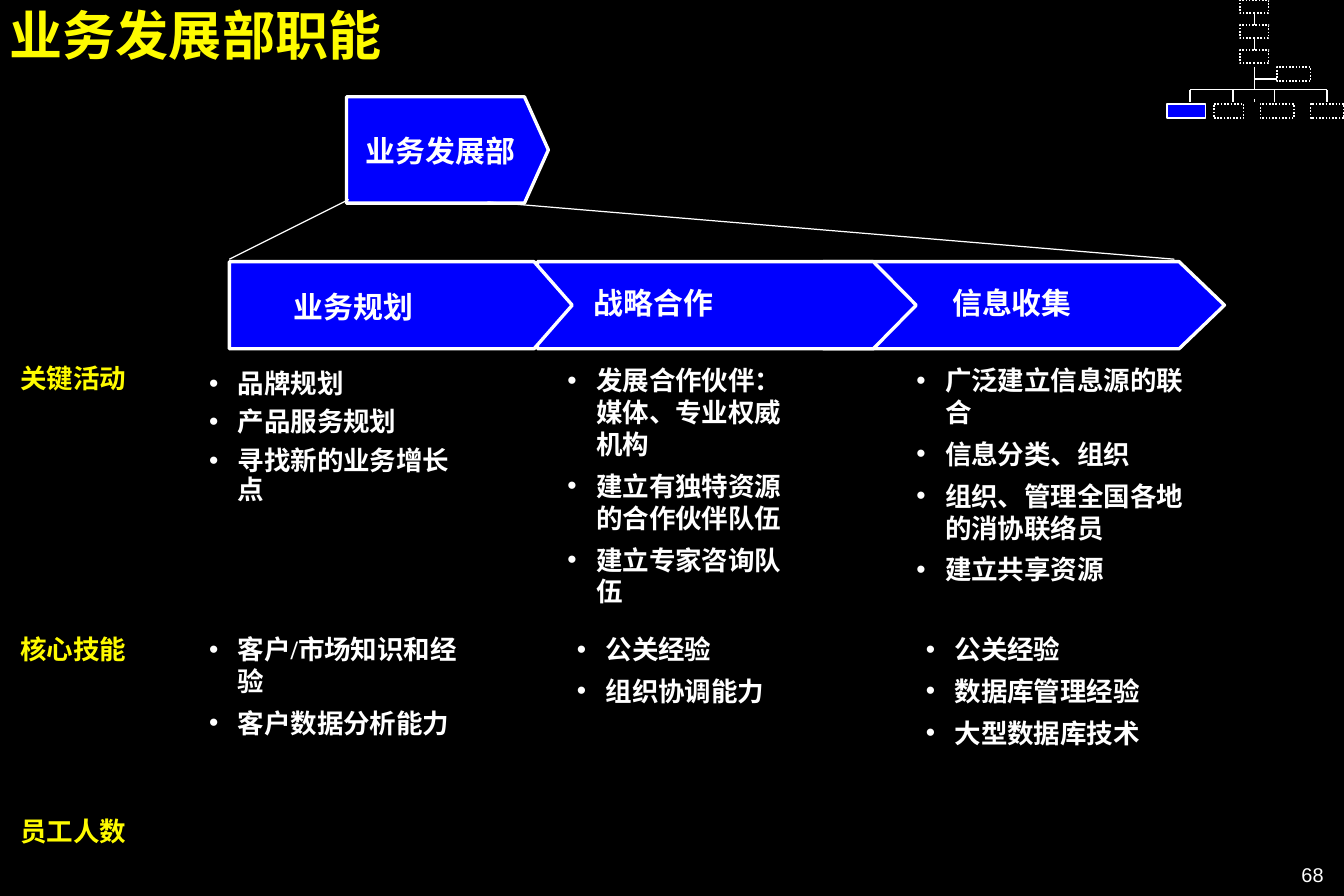
from collections import namedtuple

from lxml import etree
from pptx import Presentation
from pptx.dml.color import RGBColor
from pptx.enum.dml import MSO_LINE
from pptx.enum.shapes import MSO_CONNECTOR, MSO_SHAPE
from pptx.enum.text import MSO_ANCHOR, MSO_AUTO_SIZE, PP_ALIGN
from pptx.oxml.ns import qn
from pptx.util import Inches, Pt

Box = namedtuple("Box", "left top width height")

COLORS = {"black": "000000", "white": "FFFFFF", "yellow": "FEFB00", "blue": "0000FE"}
SERIF, SANS, HAN = "Times New Roman", "Arial", "Noto Sans CJK SC"
TOP, MIDDLE = MSO_ANCHOR.TOP, MSO_ANCHOR.MIDDLE
LEFT, RIGHT = PP_ALIGN.LEFT, PP_ALIGN.RIGHT
STRAIGHT, RECTANGLE, DOTTED = MSO_CONNECTOR.STRAIGHT, MSO_SHAPE.RECTANGLE, MSO_LINE.ROUND_DOT
BULLET_INDENT = Inches(0.24)

# Column: left edge, width, line spacing, bullet texts
ROWS = [
    ("关键活动", 0, [
        (1.75, 0.07, 2.17, 0.9, ["品牌规划", "产品服务规划", "寻找新的业务增长点"]),
        (4.75, 0.02, 2, 1, ["发展合作伙伴：媒体、专业权威机构",
                            "建立有独特资源的合作伙伴队伍", "建立专家咨询队伍"]),
        (7.67, 0.02, 2.42, 1, ["广泛建立信息源的联合", "信息分类、组织",
                               "组织、管理全国各地的消协联络员", "建立共享资源"]),
    ]),
    ("核心技能", 2.27, [
        (1.75, 0, 2.17, 1, ["客户/市场知识和经验", "客户数据分析能力"]),
        (4.83, 0, 2.17, 1, ["公关经验", "组织协调能力"]),
        (7.75, 0, 1.81, 1, ["公关经验", "数据库管理经验", "大型数据库技术"]),
    ]),
    ("员工人数", 3.79, []),
]

# Stage: name, left, shoulder, tip, label left, label drop
STAGES = [
    ("业务规划", 0, 2.55, 2.87, 0.54, 0.23),
    ("战略合作", 2.58, 5.39, 5.75, 3.05, 0.19),
    ("信息收集", 4.97, 7.95, 8.33, 6.05, 0.19),
]


def rgb(name):
    return RGBColor.from_string(COLORS[name])


def format_text(frame, size, color, font=SERIF, bold=True):
    for para in frame.paragraphs:
        for span in para.runs:
            span.font.size = Pt(size)
            span.font.bold = bold
            span.font.name = font
            span.font.color.rgb = rgb(color)
            east_asian = etree.Element(qn("a:ea"), typeface=HAN)
            span.font._element.find(qn("a:latin")).addnext(east_asian)


def set_frame(frame, anchor=TOP):
    frame.margin_left = frame.margin_right = frame.margin_top = frame.margin_bottom = 0
    frame.word_wrap = True
    frame.auto_size = MSO_AUTO_SIZE.NONE
    frame.vertical_anchor = anchor


def add_text(slide, box, text, size, color, font=SERIF, bold=True, anchor=TOP, align=LEFT):
    frame = slide.shapes.add_textbox(*map(Inches, box)).text_frame
    set_frame(frame, anchor)
    frame.text = text
    for para in frame.paragraphs:
        para.alignment = align
    format_text(frame, size, color, font, bold)
    return frame


def add_bullets(slide, box, items, spacing):
    frame = add_text(slide, box, "\n".join(items), 16, "white")
    for para in frame.paragraphs:
        properties = para._p.get_or_add_pPr()
        properties.set("marL", str(BULLET_INDENT))
        properties.set("indent", str(-BULLET_INDENT))
        bullet_color = etree.SubElement(properties, qn("a:buClr"))
        etree.SubElement(bullet_color, qn("a:srgbClr"), val=COLORS["white"])
        etree.SubElement(properties, qn("a:buFont"), typeface=SANS)
        etree.SubElement(properties, qn("a:buChar"), char="•")
        para.line_spacing = spacing
        para.space_after = Pt(6)


def add_line(slide, start, end, width):
    line = slide.shapes.add_connector(STRAIGHT, *map(Inches, (*start, *end)))
    line.line.color.rgb = rgb("white")
    line.line.width = Pt(width)
    etree.SubElement(line._element.spPr, qn("a:effectLst"))
    return line


def add_arrow(slide, box, shoulder):
    """Blue pentagon whose point starts at the given distance from its left side."""
    right, bottom = box.left + box.width, box.top + box.height
    bend = box.left + shoulder
    points = [(bend, box.top), (right, box.top + box.height / 2),
              (bend, bottom), (box.left, bottom)]
    builder = slide.shapes.build_freeform(Inches(box.left), Inches(box.top))
    builder.add_line_segments([(Inches(x), Inches(y)) for x, y in points])
    arrow = builder.convert_to_shape()
    arrow.shadow.inherit = False
    arrow.fill.solid()
    arrow.fill.fore_color.rgb = rgb("blue")
    arrow.line.color.rgb = rgb("white")
    arrow.line.width = Pt(2)


def add_title(slide, box):
    title = slide.shapes.title
    title.left, title.top, title.width, title.height = map(Inches, box)
    frame = title.text_frame
    set_frame(frame)
    frame.text = "业务发展部职能"
    frame.paragraphs[0].alignment = LEFT
    frame.paragraphs[0].line_spacing = 0.9
    format_text(frame, 32, "yellow", HAN)


def add_department(slide, box):
    add_arrow(slide, box, 1.49)
    label = Box(box.left + 0.16, box.top + 0.3, 1.39, 0.3)
    add_text(slide, label, "业务发展部", 18, "white", anchor=MIDDLE)


def add_funnel(slide, department, process):
    bottom = department.top + department.height
    add_line(slide, (department.left + 0.02, bottom - 0.03), (process.left, process.top - 0.02), 0.75)
    add_line(slide, (department.left + 1.18, bottom - 0.01),
             (process.left + 7.91, process.top - 0.02), 0.75)


def add_process(slide, box):
    for _, left, shoulder, tip, _, _ in reversed(STAGES):
        add_arrow(slide, Box(box.left + left, box.top, tip - left, box.height), shoulder - left)
    for name, _, _, _, label_left, drop in STAGES:
        label = Box(box.left + label_left, box.top + drop, 1.68, 0.3)
        add_text(slide, label, name, 18, "white", anchor=MIDDLE)


def add_rows(slide, box):
    for heading, offset, columns in ROWS:
        top = box.top + offset
        font = SERIF if columns else HAN
        add_text(slide, Box(box.left, top, 1.57, 0.27), heading, 16, "yellow", font)
        for left, drop, width, spacing, items in columns:
            cell = Box(left, top + drop, width, 0.4 * len(items))
            add_bullets(slide, cell, items, spacing)


def add_unit(slide, box, current=False):
    unit = slide.shapes.add_shape(RECTANGLE, *map(Inches, box))
    unit.shadow.inherit = False
    unit.line.color.rgb = rgb("white")
    unit.line.width = Pt(1)
    if current:
        unit.fill.solid()
        unit.fill.fore_color.rgb = rgb("blue")
    else:
        unit.fill.background()
        unit.line.dash_style = DOTTED
    return unit


def add_organisation_map(slide, box):
    trunk, bus = box.left + 0.73, box.top + 0.75
    chain = [add_unit(slide, Box(trunk - 0.12, box.top + 0.21 * level, 0.24, 0.11))
             for level in range(3)]
    for upper, lower in zip(chain, chain[1:]):
        link = add_line(slide, (trunk, box.top), (trunk, bus), 1)
        link.begin_connect(upper, 2)
        link.end_connect(lower, 0)
    add_unit(slide, Box(box.left + 0.92, box.top + 0.56, 0.28, 0.12))
    add_line(slide, (trunk, box.top + 0.56), (trunk, bus), 1)
    add_line(slide, (trunk, box.top + 0.66), (box.left + 0.92, box.top + 0.66), 1)
    add_line(slide, (trunk, bus + 0.08), (trunk, bus + 0.1), 1)
    add_line(slide, (box.left + 0.19, bus), (box.left + 1.34, bus), 1)
    branches = [(0, 0.32, 0.19), (0.39, 0.25, 0.55), (0.78, 0.28, 0.9), (1.2, 0.28, 1.34)]
    for index, (left, width, drop) in enumerate(branches):
        add_unit(slide, Box(box.left + left, box.top + 0.87, width, 0.12), index == 0)
        add_line(slide, (box.left + drop, bus), (box.left + drop, bus + 0.1), 1)


def main():
    deck = Presentation()
    deck.slide_width, deck.slide_height = Inches(11.25), Inches(7.5)
    slide = deck.slides.add_slide(deck.slide_layouts[5])
    slide.background.fill.solid()
    slide.background.fill.fore_color.rgb = rgb("black")
    department = Box(2.9, 0.81, 1.69, 0.89)
    process = Box(1.92, 2.19, 8.33, 0.73)
    add_title(slide, Box(0.08, 0.08, 9.5, 0.48))
    add_rows(slide, Box(0.17, 3.03, 9.92, 4.06))
    add_department(slide, department)
    add_funnel(slide, department, process)
    add_process(slide, process)
    add_organisation_map(slide, Box(9.77, 0, 1.48, 0.99))
    add_text(slide, Box(8.75, 7.22, 2.33, 0.2), "68", 12, "white", SANS, False, align=RIGHT)
    deck.save("out.pptx")


if __name__ == "__main__":
    main()
